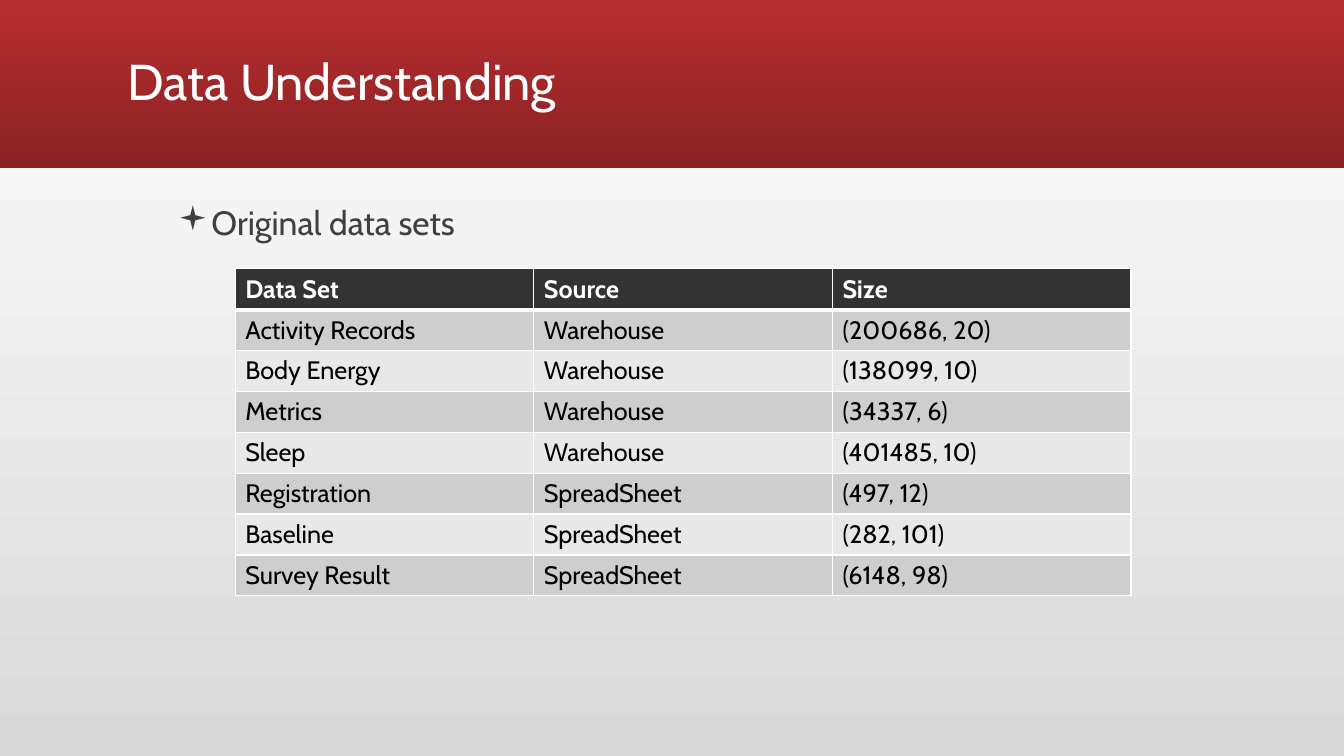
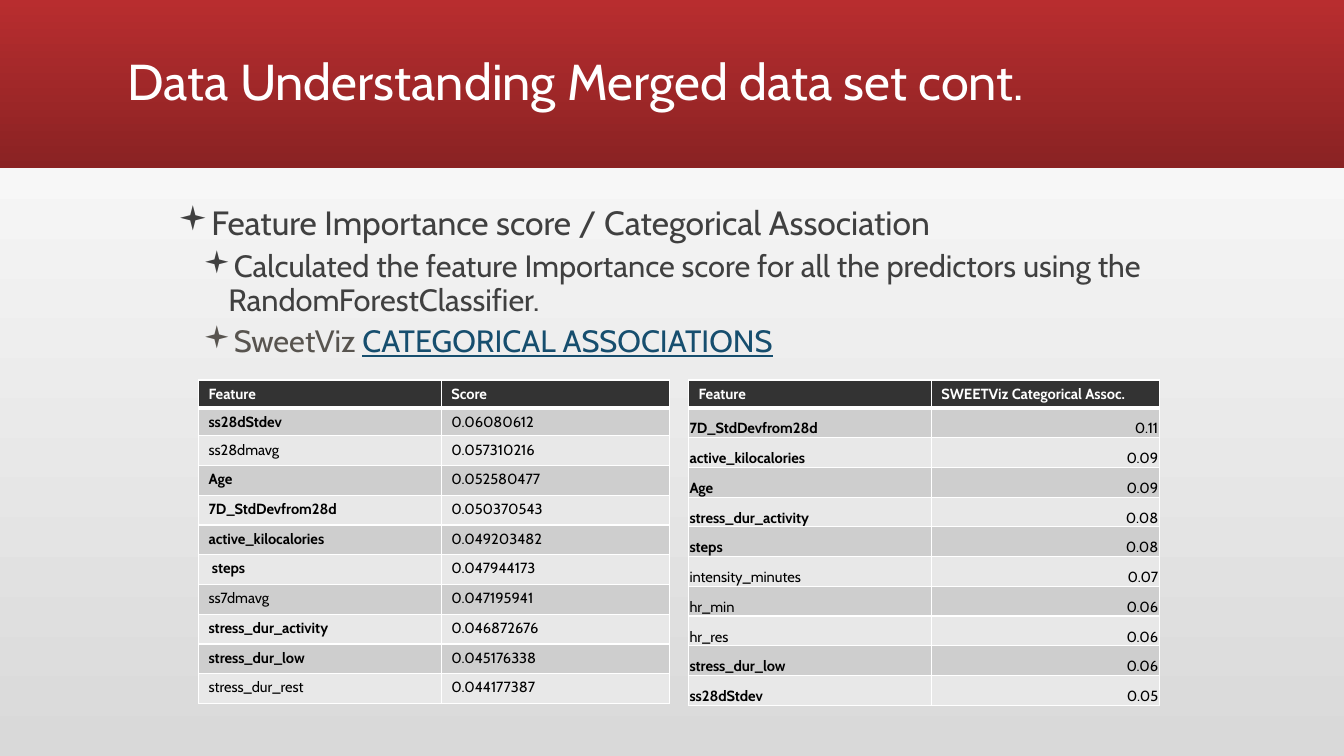
from pptx import Presentation
from pptx import util as u
from pptx.dml.color import RGBColor
from pptx.enum import shapes, text
from pptx.oxml.ns import qn
from lxml import etree

FONT, BULLET_FONT = "Cabin", "Wingdings"
WHITE, BLACK = "FFFFFF", "000000"
BODY, MUTED, LINK = "404040", "58544F", "164E6E"
HEADER, BANDS = "333333", ("CECECE", "E8E8E8")
SLIDE_WIDTH, SLIDE_HEIGHT, BAND_HEIGHT = 960, 540, 120
BULLET_STEP = 18
BULLET_LEVELS = ({"size": 24, "before": 18}, {"size": 22, "before": 6})
TIGHT_CELL = {
    "margin_left": u.Pt(0.72),
    "margin_right": u.Pt(0.72),
    "margin_top": u.Pt(0.72),
    "margin_bottom": u.Pt(0),
    "vertical_anchor": text.MSO_ANCHOR.BOTTOM,
}

DATA_SETS = [
    ("Data Set", "Source", "Size"),
    ("Activity Records", "Warehouse", "(200686, 20)"),
    ("Body Energy", "Warehouse", "(138099, 10)"),
    ("Metrics", "Warehouse", "(34337, 6)"),
    ("Sleep", "Warehouse", "(401485, 10)"),
    ("Registration", "SpreadSheet", "(497, 12)"),
    ("Baseline", "SpreadSheet", "(282, 101)"),
    ("Survey Result", "SpreadSheet", "(6148, 98)"),
]
SCORES = [
    ("Feature", "Score"),
    ("ss28dStdev", "0.06080612"),
    ("ss28dmavg", "0.057310216"),
    ("Age", "0.052580477"),
    ("7D_StdDevfrom28d", "0.050370543"),
    ("active_kilocalories", "0.049203482"),
    (" steps", "0.047944173"),
    ("ss7dmavg", "0.047195941"),
    ("stress_dur_activity", "0.046872676"),
    ("stress_dur_low", "0.045176338"),
    ("stress_dur_rest", "0.044177387"),
]
ASSOCIATIONS = [
    ("Feature", "SWEETViz Categorical Assoc."),
    ("7D_StdDevfrom28d", "0.11"),
    ("active_kilocalories", "0.09"),
    ("Age", "0.09"),
    ("stress_dur_activity", "0.08"),
    ("steps", "0.08"),
    ("intensity_minutes", "0.07"),
    ("hr_min", "0.06"),
    ("hr_res", "0.06"),
    ("stress_dur_low", "0.06"),
    ("ss28dStdev", "0.05"),
]


def colour(hex_string):
    return RGBColor.from_string(hex_string)


def set_attributes(target, values):
    for name, value in values.items():
        setattr(target, name, value)


def place(shape, left, top, width, height):
    box = {"left": left, "top": top, "width": width, "height": height}
    set_attributes(shape, {name: u.Pt(value) for name, value in box.items()})


def set_gradient(fill, first, last, angle):
    fill.gradient()
    fill.gradient_angle = angle
    for stop, position, hex_string in zip(fill.gradient_stops, (0, 1), (first, last)):
        stop.position = position
        stop.color.rgb = colour(hex_string)


def add_run(paragraph, words, size, hex_string, bold=False, underline=False):
    run = paragraph.add_run()
    run.text = words
    set_attributes(run.font, {"name": FONT, "size": u.Pt(size), "bold": bold, "underline": underline})
    run.font.color.rgb = colour(hex_string)


def add_band_to_master(presentation, slide):
    """Draw the title band and move it behind everything on the slide master."""
    band = slide.shapes.add_shape(shapes.MSO_SHAPE.RECTANGLE, 0, 0, u.Pt(SLIDE_WIDTH), u.Pt(BAND_HEIGHT))
    band.shadow.inherit = False
    band.line.fill.background()
    set_gradient(band.fill, "B82D2F", "8A2223", 270)
    presentation.slide_master.shapes.element.insert(2, band.element)


def add_titled_slide(presentation, words):
    slide = presentation.slides.add_slide(presentation.slide_layouts[5])
    title = slide.shapes.title
    place(title, 84, 8, 792, 104)
    set_attributes(title.text_frame, {
        "word_wrap": True,
        "auto_size": text.MSO_AUTO_SIZE.NONE,
        "vertical_anchor": text.MSO_ANCHOR.MIDDLE,
    })
    paragraph = title.text_frame.paragraphs[0]
    set_attributes(paragraph, {"alignment": text.PP_ALIGN.LEFT, "line_spacing": 0.9})
    add_run(paragraph, words, 36, WHITE)
    return slide


def add_bullets(slide, bullets):
    """Each bullet is a level and a list of (words, colour, underline) runs."""
    frame = slide.shapes.add_textbox(u.Pt(120), u.Pt(144), u.Pt(720), u.Pt(360)).text_frame
    frame.word_wrap = True
    for index, (level, runs) in enumerate(bullets):
        paragraph = frame.add_paragraph() if index else frame.paragraphs[0]
        style = BULLET_LEVELS[level]
        set_attributes(paragraph, {
            "level": level,
            "line_spacing": 0.9,
            "space_before": u.Pt(style["before"]),
        })
        for words, hex_string, underline in runs:
            add_run(paragraph, words, style["size"], hex_string, underline=underline)
        properties = paragraph._p.get_or_add_pPr()
        properties.set("marL", str(u.Pt(BULLET_STEP * (level + 1))))
        properties.set("indent", str(u.Pt(-BULLET_STEP)))
        etree.SubElement(properties, qn("a:buFont"), typeface=BULLET_FONT, charset="2")
        etree.SubElement(properties, qn("a:buChar"), char="▪")


def set_borders(cell, is_header):
    properties = cell._tc.get_or_add_tcPr()
    for side in "LRTB":
        width = 3 if is_header and side == "B" else 1
        line = etree.SubElement(properties, qn(f"a:ln{side}"), w=str(u.Pt(width)))
        fill = etree.SubElement(line, qn("a:solidFill"))
        etree.SubElement(fill, qn("a:srgbClr"), val=WHITE)


def add_banded_table(slide, rows, left, top, widths, heights, size, bold_words=(), tight=False):
    """Tight body cells have almost no margins, and right-aligned values."""
    table = slide.shapes.add_table(
        len(rows), len(widths), u.Pt(left), u.Pt(top), u.Pt(sum(widths)), u.Pt(sum(heights))
    ).table
    for column, width in zip(table.columns, widths):
        column.width = u.Pt(width)
    for row_index, (row, height) in enumerate(zip(rows, heights)):
        table.rows[row_index].height = u.Pt(height)
        is_header = row_index == 0
        for column_index, words in enumerate(row):
            cell = table.cell(row_index, column_index)
            set_borders(cell, is_header)
            cell.fill.solid()
            cell.fill.fore_color.rgb = colour(HEADER if is_header else BANDS[(row_index - 1) % 2])
            paragraph = cell.text_frame.paragraphs[0]
            add_run(paragraph, words, size, WHITE if is_header else BLACK,
                    bold=is_header or words.strip() in bold_words)
            if tight and not is_header:
                set_attributes(cell, TIGHT_CELL)
                if column_index:
                    paragraph.alignment = text.PP_ALIGN.RIGHT


def feature_names(rows):
    return {row[0].strip() for row in rows[1:]}


def main():
    presentation = Presentation()
    set_attributes(presentation, {"slide_width": u.Pt(SLIDE_WIDTH), "slide_height": u.Pt(SLIDE_HEIGHT)})
    set_gradient(presentation.slide_master.background.fill, "D9D9D9", WHITE, 90)

    slide = add_titled_slide(presentation, "Data Understanding")
    add_band_to_master(presentation, slide)
    add_bullets(slide, [(0, [("Original data sets", BODY, False)])])
    add_banded_table(slide, DATA_SETS, 168, 192, [213.33] * 3, [29.2] * len(DATA_SETS), 18)

    slide = add_titled_slide(presentation, "Data Understanding Merged data set cont.")
    add_bullets(slide, [
        (0, [("Feature Importance score / Categorical Association", BODY, False)]),
        (1, [("Calculated the feature Importance score for all the predictors using the "
              "RandomForestClassifier.", BODY, False)]),
        (1, [("SweetViz ", MUTED, False), ("CATEGORICAL ASSOCIATIONS", LINK, True)]),
    ])
    shared_features = feature_names(SCORES) & feature_names(ASSOCIATIONS)
    widths = [173.5, 162.7]
    add_banded_table(slide, SCORES, 141.8, 271.4, widths, [20, 20] + [21.25] * 9, 10.5, shared_features)
    add_banded_table(slide, ASSOCIATIONS, 491.8, 271.4, widths, [20] + [21.25] * 10, 10.5,
                     shared_features, tight=True)

    presentation.save("out.pptx")


if __name__ == "__main__":
    main()
